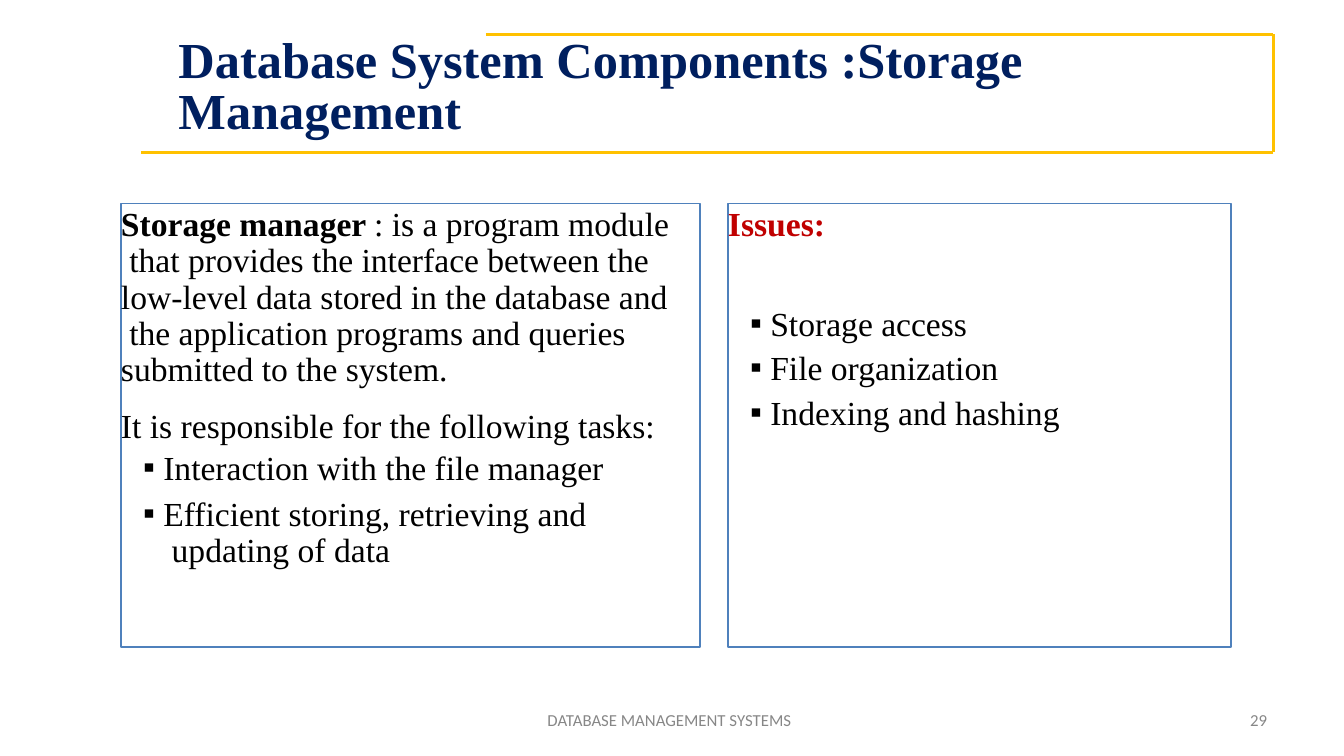
"""Build the storage management slide of a database course."""
import pptx
import pptx.util
import pptx.dml.color
import pptx.enum.shapes
import pptx.enum.text
import pptx.oxml.ns
from lxml import etree
from pptx.util import Inches

COLORS = {"title": "001F5F", "frame": "FFC100", "border": "4F81BC", "panel": "FFFFFF",
          "text": "000000", "issue": "C00000", "footer": "878787"}
SERIF = "Times New Roman"
PANEL_TOP, PANEL_HEIGHT = 2.02, 4.4


def rgb(name):
    return pptx.dml.color.RGBColor.from_string(COLORS[name])


def add_xml(parent, tag, **attributes):
    return etree.SubElement(parent, pptx.oxml.ns.qn(tag), attributes)


def add_title_frame(page, corners):
    """Draw the open frame as one outline with a separate stroke per side."""
    points = [tuple(map(Inches, corner)) for corner in corners]
    builder = page.shapes.build_freeform(*points[0])
    for start, end in zip(points, points[1:]):
        if start != points[0]:
            builder.move_to(*start)
        builder.add_line_segments([end], close=False)
    outline = builder.convert_to_shape()
    outline.shadow.inherit = False
    outline.fill.background()
    outline.line.color.rgb = rgb("frame")
    outline.line.width = pptx.util.Pt(2)


def prepare_frame(box, top_inset):
    frame = box.text_frame
    frame.word_wrap = True
    frame.vertical_anchor = pptx.enum.text.MSO_ANCHOR.TOP
    frame.margin_left = frame.margin_right = frame.margin_bottom = 0
    frame.margin_top = Inches(top_inset)
    return frame


def add_text_box(page, left, top, width, height, top_inset=0):
    box = page.shapes.add_textbox(*map(Inches, (left, top, width, height)))
    return prepare_frame(box, top_inset)


def add_panel(page, left, width, top_inset=0):
    box = page.shapes.add_shape(
        pptx.enum.shapes.MSO_SHAPE.RECTANGLE,
        *map(Inches, (left, PANEL_TOP, width, PANEL_HEIGHT)))
    box.shadow.inherit = False
    box.fill.solid()
    box.fill.fore_color.rgb = rgb("panel")
    box.line.color.rgb = rgb("border")
    box.line.width = pptx.util.Pt(1.25)
    return prepare_frame(box, top_inset)


def add_para(frame, spans, size=24, font=SERIF, before=0, spacing=None, indent=0, bullet=False):
    """Add a paragraph of (text, color, bold) spans; a newline is a line break."""
    para = frame.paragraphs[0]
    if para.runs:
        para = frame.add_paragraph()
    para.alignment = pptx.enum.text.PP_ALIGN.LEFT
    if before:
        para.space_before = pptx.util.Pt(before)
    if spacing:
        para.line_spacing = spacing
    properties = para._p.get_or_add_pPr()
    properties.set("marL", str(Inches(indent)))
    if bullet:
        properties.set("marL", str(Inches(0.42)))
        properties.set("indent", str(Inches(-0.2)))
        add_xml(properties, "a:buFont", typeface="Arial")
        add_xml(properties, "a:buChar", char="▪")
        tabs = add_xml(properties, "a:tabLst")
        add_xml(tabs, "a:tab", pos=str(Inches(0.42)), algn="l")
    for text, color, bold in spans:
        for number, piece in enumerate(text.split("\n")):
            if number:
                para.add_line_break()
            span = para.add_run()
            span.text = piece
            span.font.name = font
            span.font.size = pptx.util.Pt(size)
            span.font.bold = bold
            span.font.color.rgb = rgb(color)
    for line_break in para._p.findall(pptx.oxml.ns.qn("a:br")):
        add_xml(line_break, "a:rPr", sz=str(size * 100))


def add_footer(page, text, left, width):
    frame = add_text_box(page, left, 7.07, width, 0.19)
    add_para(frame, [(text, "footer", False)], size=12, font="Calibri",
             spacing=pptx.util.Pt(12.4))


def main():
    deck = pptx.Presentation()
    deck.slide_width, deck.slide_height = Inches(13.33), Inches(7.5)
    page = deck.slides.add_slide(deck.slide_layouts[6])

    add_title_frame(page, [(4.82, 0.34), (12.63, 0.34), (12.63, 1.51), (1.4, 1.51)])

    title = add_text_box(page, 1.64, 0.26, 8.51, 1.14, 0.11)
    add_para(title, [("Database System Components :Storage\nManagement", "title", True)],
             size=36, spacing=pptx.util.Pt(36.7), indent=0.13)

    manager = add_panel(page, 1.2, 5.74, 0.04)
    definition = (": is a program module\n that provides the interface between the\n"
                  "low-level data stored in the database and\n"
                  " the application programs and queries\nsubmitted to the system.")
    add_para(manager, [("Storage manager ", "text", True), (definition, "text", False)],
             spacing=0.9)
    add_para(manager, [("It is responsible for the following tasks:", "text", False)],
             before=11.2)
    add_para(manager, [("Interaction with the file manager", "text", False)],
             before=1.1, bullet=True)
    add_para(manager, [("Efficient storing, retrieving and\n updating of data", "text", False)],
             before=7, spacing=pptx.util.Pt(25.9), bullet=True)

    issues = add_panel(page, 7.22, 4.99)
    add_para(issues, [("Issues:", "issue", True)], spacing=pptx.util.Pt(28.1))
    for text, before in (("Storage access", 42.6), ("File organization", 3.1),
                         ("Indexing and hashing", 3.1)):
        add_para(issues, [(text, "text", False)], before=before, bullet=True)

    add_footer(page, "DATABASE MANAGEMENT SYSTEMS", 5.43, 2.49)
    add_footer(page, "29", 12.4, 0.25)
    deck.save("out.pptx")


if __name__ == "__main__":
    main()
